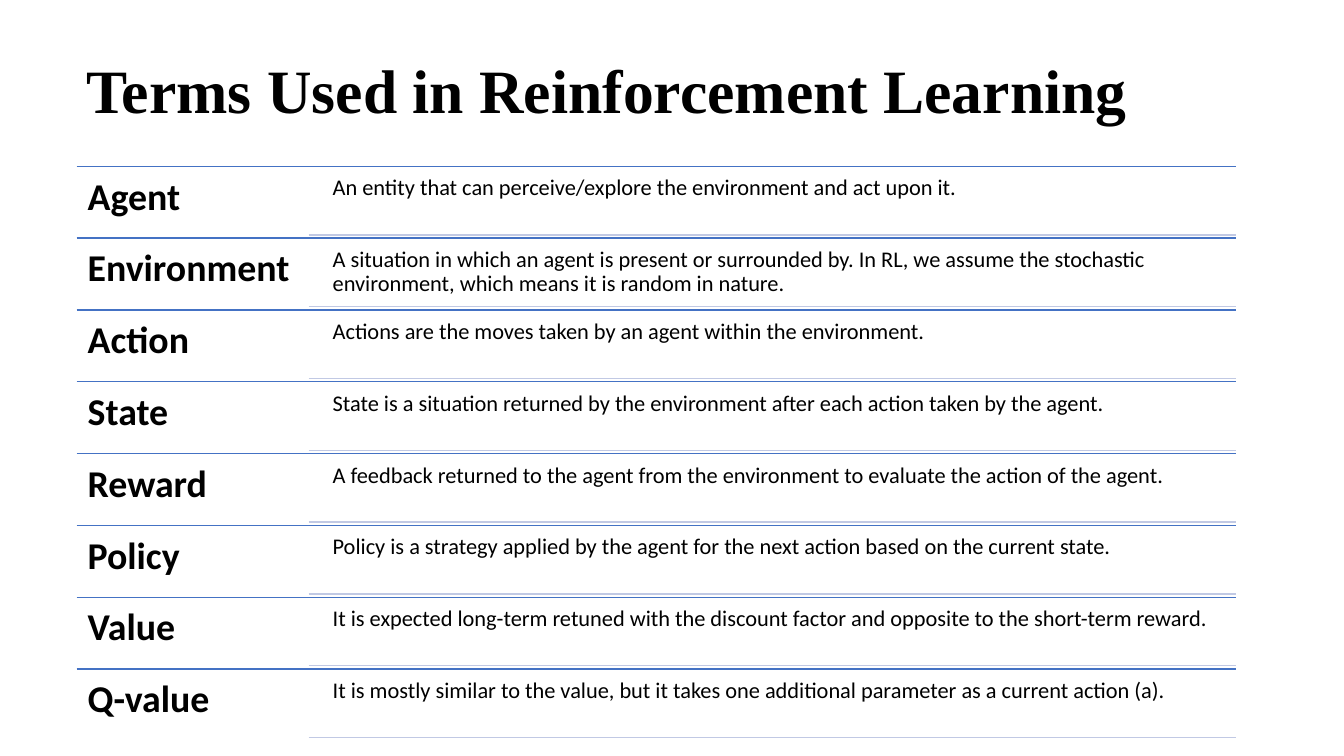
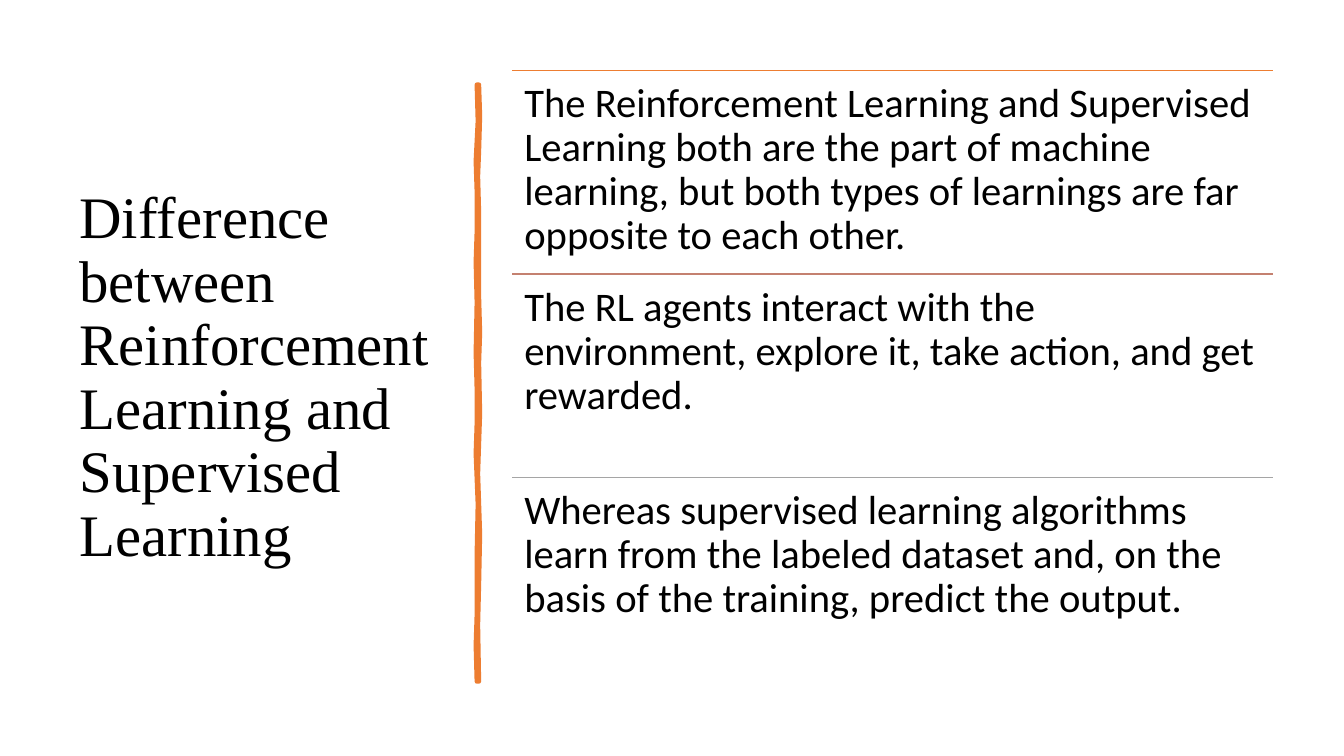
from lxml.etree import SubElement
from pptx import Presentation
from pptx.dml.color import RGBColor
from pptx.enum.shapes import MSO_CONNECTOR as Conn
from pptx.enum.text import MSO_ANCHOR as Anchor
from pptx.oxml.ns import qn
from pptx.util import Inches, Pt

BLACK = RGBColor(0x00, 0x00, 0x00)
BLUE = RGBColor(0x44, 0x72, 0xC4)
PALE = RGBColor(0xC1, 0xC9, 0xE4)
ORANGE = RGBColor(0xED, 0x7D, 0x31)
CLAY = RGBColor(0xC4, 0x81, 0x70)
GRAY = RGBColor(0xA5, 0xA5, 0xA5)
HEAD = "Times New Roman"
BODY = "Calibri"


def add_text(slide, box, text, size, font=BODY, bold=False, inset=None,
             space=0.9, anchor=Anchor.TOP):
    frame = slide.shapes.add_textbox(*map(Inches, box)).text_frame
    frame.word_wrap = True
    frame.vertical_anchor = anchor
    if inset is not None:
        frame.margin_left = frame.margin_right = Inches(inset)
        frame.margin_top = frame.margin_bottom = Inches(inset)
    para = frame.paragraphs[0]
    para.line_spacing = space
    run = para.add_run()
    run.text = text
    run.font.name = font
    run.font.size = Pt(size)
    run.font.bold = bold
    run.font.color.rgb = BLACK


def add_rule(slide, left, right, top, color):
    rule = slide.shapes.add_connector(
        Conn.STRAIGHT, Inches(left), Inches(top), Inches(right), Inches(top))
    rule.line.color.rgb = color
    rule.line.width = Pt(1)
    SubElement(rule._element.spPr, qn("a:effectLst"))


deck = Presentation()
deck.slide_width = Inches(13.33)
deck.slide_height = Inches(7.5)
blank = deck.slide_layouts[6]

# Slide 1: terms and meanings
slide = deck.slides.add_slide(blank)
terms = [
    ("Agent", "An entity that can perceive/explore the environment and act upon it."),
    ("Environment", "A situation in which an agent is present or surrounded by. In RL, "
     "we assume the stochastic environment, which means it is random in nature."),
    ("Action", "Actions are the moves taken by an agent within the environment."),
    ("State", "State is a situation returned by the environment after each action "
     "taken by the agent."),
    ("Reward", "A feedback returned to the agent from the environment to evaluate "
     "the action of the agent."),
    ("Policy", "Policy is a strategy applied by the agent for the next action based "
     "on the current state."),
    ("Value", "It is expected long-term retuned with the discount factor and "
     "opposite to the short-term reward."),
    ("Q-value", "It is mostly similar to the value, but it takes one additional "
     "parameter as a current action (a)."),
]
left, right, split = 0.76, 12.26, 3.06
pitch = 5.7 / len(terms)
for i, (term, note) in enumerate(terms):
    top = 1.65 + i * pitch
    add_rule(slide, left, right, top, BLUE)
    add_text(slide, (left, top, split - left, pitch), term, 27, bold=True, inset=0.11)
    add_text(slide, (3.23, top + 0.03, 9.03, 0.65), note, 16, inset=0.07)
    add_rule(slide, split, right, top + 0.68, PALE)
add_text(slide, (left, 0.47, 11.27, 0.84), "Terms Used in Reinforcement Learning",
         44, HEAD, bold=True, space=1.0)

# Slide 2: title on the left
slide = deck.slides.add_slide(blank)
add_text(slide, (0.69, 0.7, 3.74, 6.11),
         "Difference between Reinforcement Learning and Supervised Learning",
         42, HEAD, anchor=Anchor.MIDDLE)

# Hand-drawn bar: down the right edge, up the left edge
edge = [
    (4.75, 0.84), (4.76, 1.15), (4.75, 1.5), (4.74, 1.75), (4.75, 2.1),
    (4.75, 2.94), (4.76, 3.3), (4.75, 3.6), (4.76, 4.1), (4.75, 4.4),
    (4.74, 4.7), (4.76, 5.3), (4.75, 5.8), (4.74, 6.2), (4.75, 6.76),
    (4.73, 6.76), (4.72, 6.4), (4.73, 6.1), (4.73, 5.5), (4.74, 5.0),
    (4.72, 4.5), (4.73, 4.2), (4.73, 3.86), (4.72, 3.5), (4.73, 3.0),
    (4.72, 2.6), (4.73, 2.3), (4.73, 1.9), (4.72, 1.6), (4.74, 1.2),
    (4.73, 0.84),
]
points = [(Inches(x), Inches(y)) for x, y in edge]
pen = slide.shapes.build_freeform(*points[0])
pen.add_line_segments(points[1:], close=True)
bar = pen.convert_to_shape()
bar.shadow.inherit = False
bar.fill.solid()
bar.fill.fore_color.rgb = ORANGE
bar.line.color.rgb = ORANGE
bar.line.width = Pt(3.25)
SubElement(bar.line._get_or_add_ln(), qn("a:round"))

# Three ruled statements
facts = [
    (ORANGE, "The Reinforcement Learning and Supervised Learning both are the part of "
     "machine learning, but both types of learnings are far opposite to each other."),
    (CLAY, "The RL agents interact with the environment, explore it, take action, "
     "and get rewarded."),
    (GRAY, "Whereas supervised learning algorithms learn from the labeled dataset "
     "and, on the basis of the training, predict the output."),
]
left, right, pitch = 5.08, 12.63, 2.02
for i, (color, fact) in enumerate(facts):
    top = 0.7 + i * pitch
    add_rule(slide, left, right, top, color)
    add_text(slide, (left, top, right - left, pitch), fact, 29, inset=0.12)

deck.save("out.pptx")
